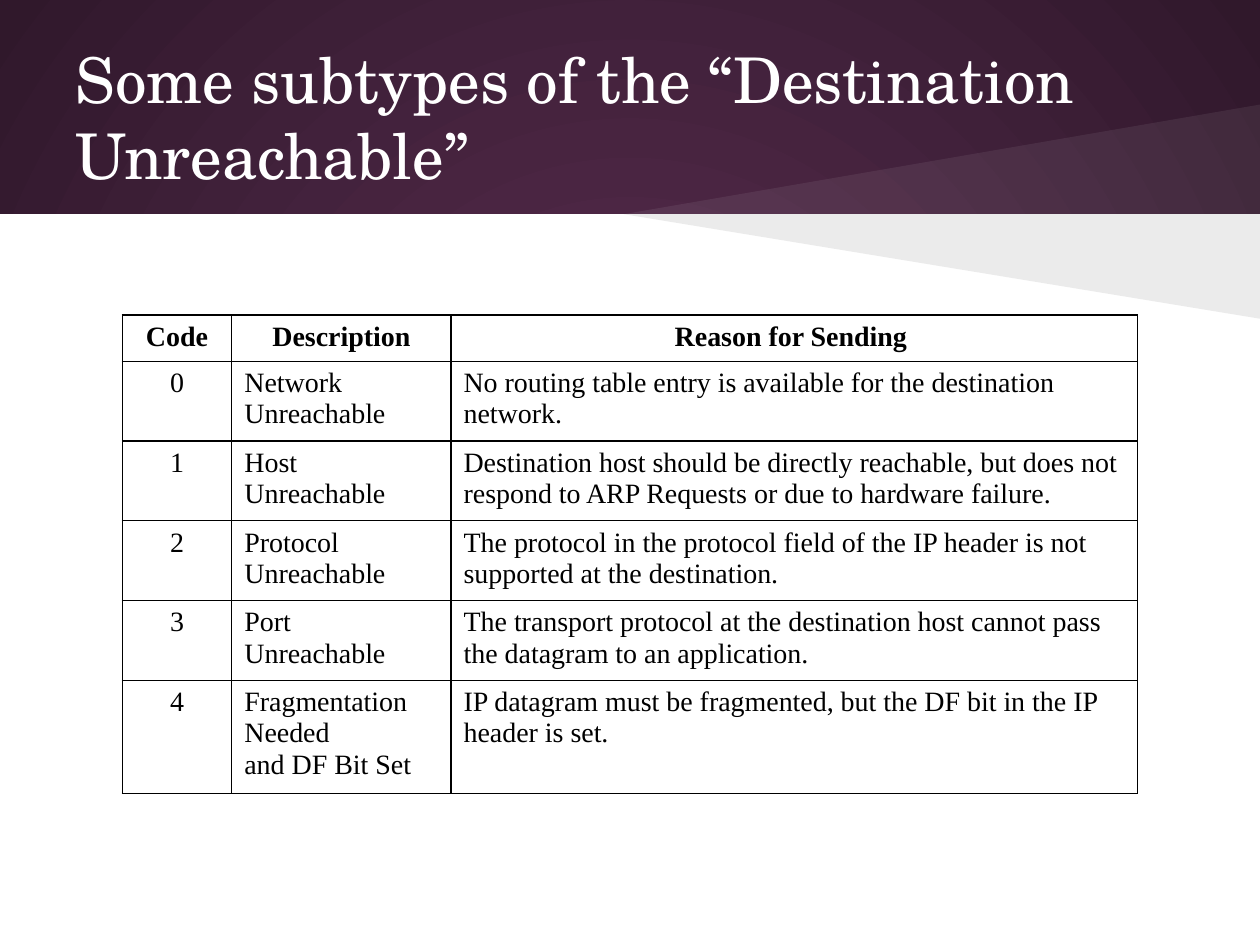
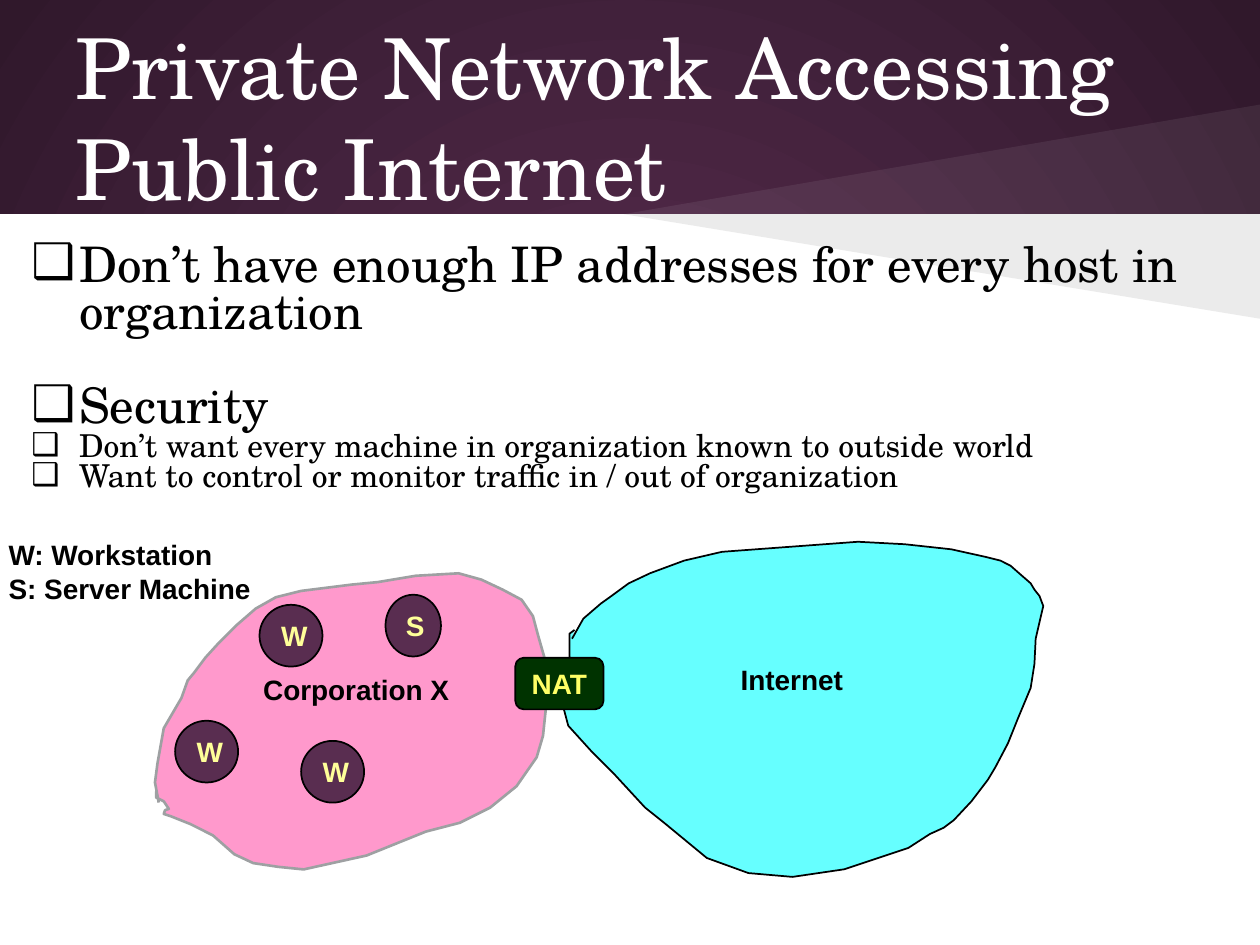
"""Build two slides on ICMP unreachable codes and private network access."""
from dataclasses import dataclass
from typing import NamedTuple

from lxml import etree
from pptx import Presentation
from pptx import util as u
from pptx.dml.color import RGBColor
from pptx.enum import shapes, text
from pptx.oxml import ns

PX = 9144
LEFT, CENTER = text.PP_ALIGN.LEFT, text.PP_ALIGN.CENTER


@dataclass(frozen=True)
class Theme:
    """Hold the colours, fonts and type sizes of the deck."""
    plum: str = "592D50"
    night: str = "30182B"
    white: str = "FFFFFF"
    black: str = "000000"
    pink: str = "FF99CC"
    grey: str = "9EA0A2"
    cyan: str = "66FFFF"
    green: str = "003300"
    cream: str = "FFFF99"
    yellow: str = "FFFF66"
    serif: str = "TeX Gyre Schola"
    roman: str = "Times New Roman"
    sans: str = "Arial"
    title: int = 36
    big_title: int = 48
    bullet: int = 28
    detail: int = 18
    label: int = 16


THEME = Theme()


class Area(NamedTuple):
    """Place a box on the page in px."""
    left: int
    top: int
    width: int
    height: int

    def emu(self) -> list[int]:
        """Return the four lengths in EMU."""
        return [length * PX for length in self]


class Style(NamedTuple):
    """Describe how a text looks."""
    font: str
    size: int
    color: str
    bold: bool = False
    align: text.PP_ALIGN = LEFT


class Bullet(NamedTuple):
    """Describe one bullet line."""
    words: str
    size: int
    level: int = 0
    before: int = 0


class Label(NamedTuple):
    """Describe one free label."""
    words: str
    area: Area


class Node(NamedTuple):
    """Describe one filled shape with a caption."""
    words: str
    area: Area
    kind: shapes.MSO_SHAPE = shapes.MSO_SHAPE.OVAL
    fill: str = THEME.plum
    ink: str = THEME.cream


class Cloud(NamedTuple):
    """Describe a network outline by the points it runs through."""
    points: list[tuple[int, int]]
    fill: str
    line: str
    weight: float


TITLE_AREA = Area(50, 30, 900, 125)
BODY_AREA = Area(15, 184, 970, 227)
WHITE_AREA = Area(0, 170, 1000, 580)
BEAM_TIP = (495, 170)
BEAMS = [(83, THEME.white, 7), (253, THEME.black, 8)]

TABLE_AREA = Area(97, 250, 806, 380)
COLUMNS = [87, 174, 545]
ROW_HEIGHTS = [30, 30, 30, 30, 40, 33]
CODES = [
    ("Code", "Description", "Reason for Sending "),
    ("0", "Network Unreachable",
     "No routing table entry is available for the destination network."),
    ("1", "Host Unreachable",
     "Destination host should be directly reachable, but does not respond to "
     "ARP Requests or due to hardware failure."),
    ("2", "Protocol Unreachable",
     "The protocol in the protocol field of the IP header is not supported "
     "at the destination."),
    ("3", "Port Unreachable",
     "The transport protocol at the destination host cannot pass the "
     "datagram to an application."),
    ("4", "Fragmentation Needed\nand DF Bit Set",
     "IP datagram must be fragmented, but the DF bit in the IP header is set."),
]

BULLETS = [
    Bullet("Don’t have enough IP addresses for every host in organization", THEME.bullet),
    Bullet("Security", THEME.bullet, before=27),
    Bullet("Don’t want every machine in organization known to outside world",
           THEME.detail, 3),
    Bullet("Want to control or monitor traffic in / out of organization",
           THEME.detail, 3),
]

INTERNET = Cloud([
    (454, 507), (463, 491), (477, 479), (484, 474), (499, 463), (516, 455),
    (543, 445), (573, 438), (614, 435), (681, 430), (718, 432), (755, 436),
    (782, 442), (794, 445), (802, 449), (810, 456), (818, 463), (821, 468),
    (825, 473), (828, 481), (825, 494), (822, 507), (821, 527), (818, 546),
    (813, 558), (808, 570), (800, 590), (790, 609), (784, 619), (771, 636),
    (757, 651), (749, 657), (738, 662), (721, 673), (709, 677), (670, 690),
    (629, 696), (594, 693), (561, 681), (527, 653), (512, 641), (488, 615),
    (470, 597), (451, 576), (447, 561), (451, 542), (455, 535), (452, 521),
    (452, 503), (456, 500),
], THEME.cyan, THEME.black, 1)
CORPORATION = Cloud([
    (126, 637), (123, 621), (125, 606), (130, 578), (144, 554), (149, 540),
    (154, 534), (163, 522), (173, 511), (188, 496), (203, 483), (219, 474),
    (239, 469), (279, 464), (300, 462), (330, 457), (364, 455), (382, 460),
    (399, 468), (414, 476), (423, 489), (427, 504), (433, 525), (434, 555),
    (431, 584), (426, 601), (410, 624), (389, 641), (365, 653), (338, 660),
    (291, 679), (241, 690), (221, 688), (201, 685), (186, 678), (169, 663),
    (151, 654), (136, 648), (130, 646), (131, 643), (134, 642), (130, 636),
    (124, 633), (124, 628),
], THEME.pink, THEME.grey, 1.5)
LABELS = [
    Label("Internet", Area(578, 521, 102, 37)),
    Label("Corporation X", Area(199, 529, 168, 37)),
    Label("W: Workstation\nS: Server Machine", Area(-3, 422, 213, 64)),
]
NODES = [
    Node("W", Area(139, 572, 50, 49)),
    Node("W", Area(206, 480, 50, 49)),
    Node("W", Area(239, 588, 50, 49)),
    Node("S", Area(306, 472, 44, 49)),
    Node("NAT", Area(409, 522, 70, 41), shapes.MSO_SHAPE.ROUNDED_RECTANGLE,
         THEME.green, THEME.yellow),
]


def rgb(color: str) -> RGBColor:
    """Turn a hex string into a colour."""
    return RGBColor.from_string(color)


def add_element(parent, tag: str, **attributes: str):
    """Append a drawing element to a parent."""
    return etree.SubElement(parent, ns.qn(tag), attributes)


def style_para(para, style: Style) -> None:
    """Apply a style to every run of a paragraph."""
    para.alignment = style.align
    for span in para.runs:
        span.font.name = style.font
        span.font.size = u.Pt(style.size)
        span.font.bold = style.bold
        span.font.color.rgb = rgb(style.color)


def write(frame, words: str, style: Style) -> None:
    """Fill a text frame and style it."""
    frame.text = words
    for para in frame.paragraphs:
        style_para(para, style)


def paint(shape, fill: str, line: str = "", weight: float = 1) -> None:
    """Set fill and line of a shape and drop its shadow."""
    shape.shadow.inherit = False
    shape.fill.solid()
    shape.fill.fore_color.rgb = rgb(fill)
    if line:
        shape.line.color.rgb = rgb(line)
        shape.line.width = u.Pt(weight)
    else:
        shape.line.fill.background()


def add_box(page, area: Area, wrap: bool = True):
    """Add a text box and return its frame."""
    frame = page.shapes.add_textbox(*area.emu()).text_frame
    frame.word_wrap = wrap
    if wrap:
        frame.margin_top = frame.margin_bottom = 10 * PX
    return frame


def add_outline(page, points: list[tuple[int, int]], close: bool):
    """Add a freeform through points given in px."""
    start, *rest = points
    builder = page.shapes.build_freeform(*start, scale=PX)
    builder.add_line_segments(rest, close=close)
    return builder.convert_to_shape()


def add_page(deck, title: str, size: int):
    """Add a page with the shared backdrop, beams and title."""
    page = deck.slides.add_slide(deck.slide_layouts[6])
    fill = page.background.fill
    fill.gradient()
    for stop, color, position in zip(fill.gradient_stops, (THEME.plum, THEME.night), (0, 1)):
        stop.color.rgb = rgb(color)
        stop.position = position
    gradient = page.background._cSld.find(".//" + ns.qn("a:gradFill"))
    gradient.remove(gradient.find(ns.qn("a:lin")))
    circle = add_element(gradient, "a:path", path="circle")
    add_element(circle, "a:fillToRect", l="50000", t="50000", r="50000", b="50000")
    paint(page.shapes.add_shape(shapes.MSO_SHAPE.RECTANGLE, *WHITE_AREA.emu()), THEME.white)
    for edge, color, opacity in BEAMS:
        beam = add_outline(page, [(1000, 170), BEAM_TIP, (1000, edge)], True)
        paint(beam, color)
        tint = beam.fill._xPr.find(ns.qn("a:solidFill"))[0]
        add_element(tint, "a:alpha", val=str(opacity * 1000))
    frame = add_box(page, TITLE_AREA)
    frame.vertical_anchor = text.MSO_ANCHOR.MIDDLE
    write(frame, title, Style(THEME.serif, size, THEME.white))
    return page


def add_code_table(page) -> None:
    """Add the table of unreachable codes."""
    holder = page.shapes.add_table(len(CODES), len(COLUMNS), *TABLE_AREA.emu())
    table = holder.table
    table.horz_banding = False
    for column, width in zip(table.columns, COLUMNS):
        column.width = width * PX
    for i, (row, height) in enumerate(zip(table.rows, ROW_HEIGHTS)):
        row.height = height * PX
        for j, cell in enumerate(row.cells):
            for side in "LRTB":
                line = add_element(cell._tc.get_or_add_tcPr(), f"a:ln{side}",
                                   w=str(u.Pt(0.75)))
                add_element(add_element(line, "a:solidFill"), "a:srgbClr", val=THEME.black)
            cell.fill.solid()
            cell.fill.fore_color.rgb = rgb(THEME.white)
            align = CENTER if i == 0 or j == 0 else LEFT
            write(cell.text_frame, CODES[i][j],
                  Style(THEME.roman, THEME.label, THEME.black, i == 0, align))
    holder.height = TABLE_AREA.height * PX


def add_bullets(page) -> None:
    """Add the bullet list."""
    frame = add_box(page, BODY_AREA)
    frame.text = "\n".join(bullet.words for bullet in BULLETS)
    for para, bullet in zip(frame.paragraphs, BULLETS):
        para.level = bullet.level
        para.line_spacing = 0.8
        para.space_before = u.Pt(bullet.before)
        props = para._p.get_or_add_pPr()
        props.set("marL", str(38 * PX))
        props.set("indent", str(-38 * PX))
        add_element(add_element(props, "a:buClr"), "a:srgbClr", val=THEME.black)
        add_element(props, "a:buFont", typeface=THEME.sans)
        add_element(props, "a:buChar", char="❑")
        style_para(para, Style(THEME.serif, bullet.size, THEME.black))


def add_network(page) -> None:
    """Add the clouds, labels and machines."""
    for cloud in (INTERNET, CORPORATION):
        paint(add_outline(page, cloud.points, False), cloud.fill, cloud.line, cloud.weight)
    for label in LABELS:
        write(add_box(page, label.area, wrap=False), label.words,
              Style(THEME.sans, THEME.label, THEME.black, True))
    for node in NODES:
        shape = page.shapes.add_shape(node.kind, *node.area.emu())
        paint(shape, node.fill, THEME.black)
        shape.text_frame.word_wrap = len(node.words) == 1
        shape.text_frame.vertical_anchor = text.MSO_ANCHOR.MIDDLE
        write(shape.text_frame, node.words,
              Style(THEME.sans, THEME.label, node.ink, True, CENTER))


def main() -> None:
    """Build and save the deck."""
    deck = Presentation()
    deck.slide_width, deck.slide_height = 1000 * PX, 750 * PX
    add_code_table(add_page(deck, "Some subtypes of the “Destination Unreachable”", THEME.title))
    page = add_page(deck, "Private Network Accessing\vPublic Internet", THEME.big_title)
    add_bullets(page)
    add_network(page)
    deck.save("out.pptx")


if __name__ == "__main__":
    main()
